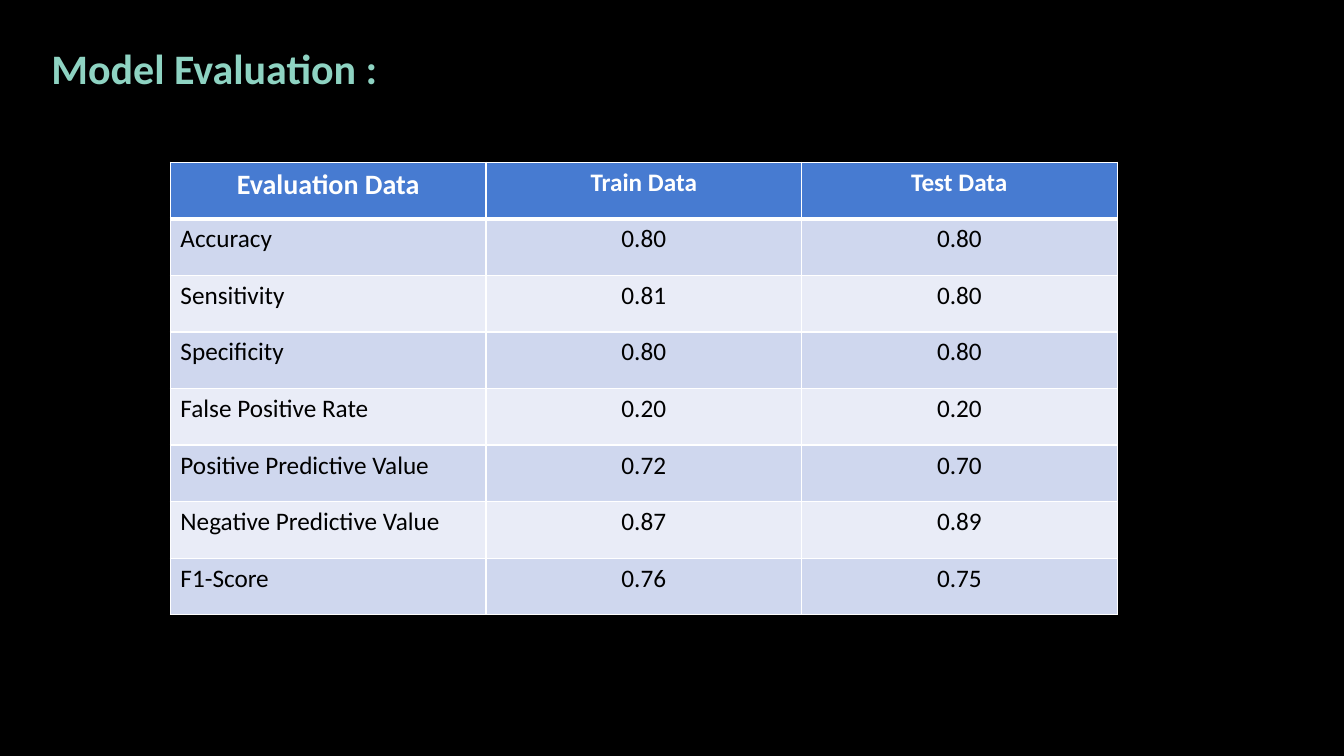
"""Build the model evaluation slide with its table of train and test scores."""
from dataclasses import dataclass

from lxml import etree
from pptx import Presentation
from pptx.dml.color import RGBColor
from pptx.enum.text import MSO_ANCHOR, MSO_AUTO_SIZE, PP_ALIGN
from pptx.oxml.ns import qn
from pptx.slide import Slide
from pptx.table import _Cell
from pptx.text.text import _Paragraph
from pptx.util import Inches, Pt

LEFT, CENTER = PP_ALIGN.LEFT, PP_ALIGN.CENTER
TOP = MSO_ANCHOR.TOP
GROW = MSO_AUTO_SIZE.SHAPE_TO_FIT_TEXT

BLACK = RGBColor(0x00, 0x00, 0x00)
WHITE = RGBColor(0xFF, 0xFF, 0xFF)
MINT = RGBColor(0x8E, 0xD3, 0xC2)
BLUE = RGBColor(0x47, 0x7B, 0xD1)
BANDS = (RGBColor(0xCF, 0xD7, 0xEE), RGBColor(0xE9, 0xEC, 0xF7))

FONT = "Calibri"
WIDTH, HEIGHT = 9.39, 4.49
THIN, THICK = 1, 3


@dataclass(frozen=True)
class Score:
    name: str
    train: str
    test: str


HEADS = ("Evaluation Data", "Train Data", "Test Data")
SCORES = (
    Score("Accuracy", "0.80", "0.80"),
    Score("Sensitivity", "0.81", "0.80"),
    Score("Specificity", "0.80", "0.80"),
    Score("False Positive Rate", "0.20", "0.20"),
    Score("Positive Predictive Value", "0.72", "0.70"),
    Score("Negative Predictive Value", "0.87", "0.89"),
    Score("F1-Score", "0.76", "0.75"),
)


def style(para: _Paragraph, size: int, color: RGBColor, bold: bool, align: PP_ALIGN) -> None:
    para.alignment = align
    font = para.font
    font.name, font.size, font.bold = FONT, Pt(size), bold
    font.color.rgb = color


def add_title(slide: Slide) -> None:
    title = slide.shapes.title
    title.left, title.top = Inches(0.41), Inches(0.37)
    title.width, title.height = Inches(8.66), Inches(0.61)
    frame = title.text_frame
    frame.text = "Model Evaluation :"
    frame.auto_size = GROW
    frame.vertical_anchor = TOP
    style(frame.paragraphs[0], 30, MINT, True, LEFT)


def add_edges(cell: _Cell, above: int, below: int) -> None:
    props = cell._tc.get_or_add_tcPr()
    for tag, width in (("lnL", THIN), ("lnR", THIN), ("lnT", above), ("lnB", below)):
        line = etree.SubElement(props, qn(f"a:{tag}"), w=str(Pt(width)))
        fill = etree.SubElement(line, qn("a:solidFill"))
        etree.SubElement(fill, qn("a:srgbClr"), val=str(WHITE))


def add_scores(slide: Slide) -> None:
    rows = [HEADS] + [(score.name, score.train, score.test) for score in SCORES]
    table = slide.shapes.add_table(
        len(rows), len(HEADS), Inches(1.69), Inches(1.61), Inches(WIDTH), Inches(HEIGHT)
    ).table
    for row, texts in enumerate(rows):
        head = row == 0
        for col, text in enumerate(texts):
            cell = table.cell(row, col)
            cell.text = text
            add_edges(cell, THICK if row == 1 else THIN, THICK if head else THIN)
            cell.fill.solid()
            cell.fill.fore_color.rgb = BLUE if head else BANDS[(row - 1) % 2]
            size = 20 if head and col == 0 else 18
            align = CENTER if head or col else LEFT
            style(cell.text_frame.paragraphs[0], size, WHITE if head else BLACK, head, align)


def main() -> None:
    deck = Presentation()
    deck.slide_width, deck.slide_height = Inches(13.33), Inches(7.5)
    slide = deck.slides.add_slide(deck.slide_layouts.get_by_name("Title Only"))
    slide.background.fill.solid()
    slide.background.fill.fore_color.rgb = BLACK
    add_title(slide)
    add_scores(slide)
    deck.save("out.pptx")


if __name__ == "__main__":
    main()
